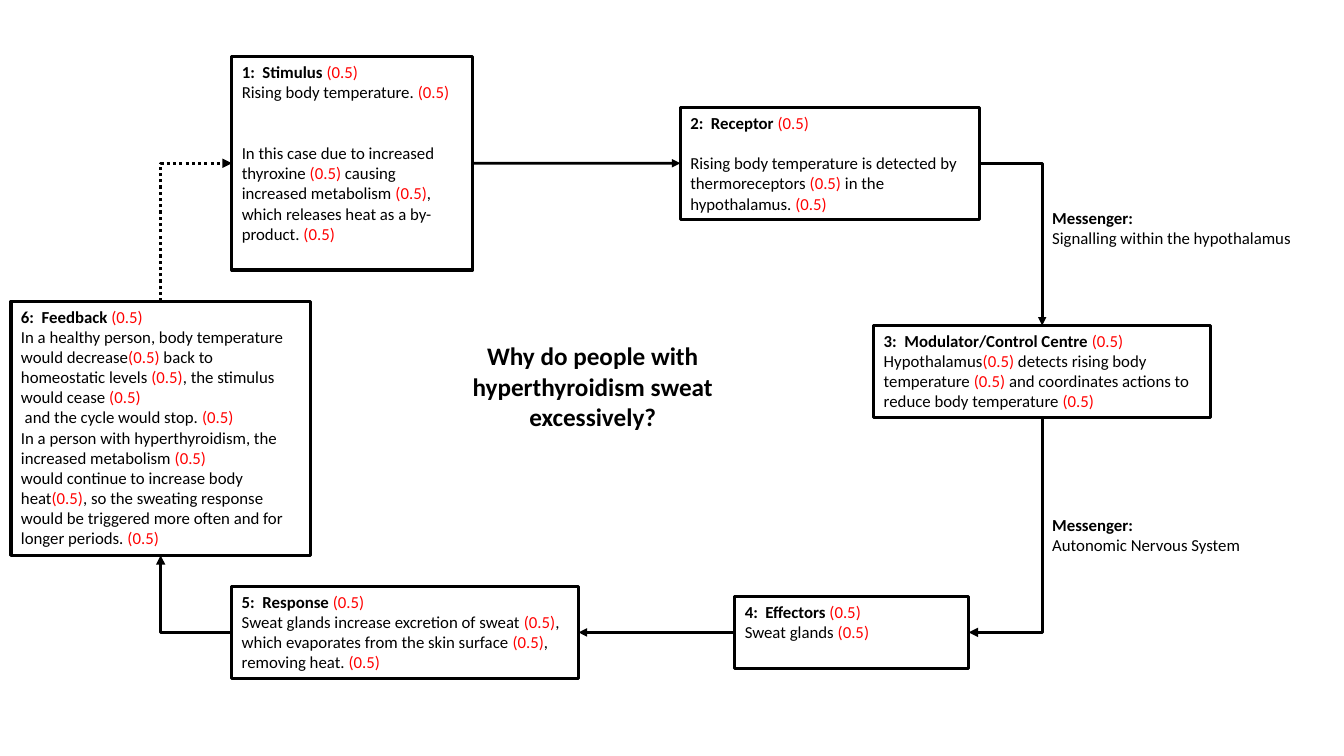
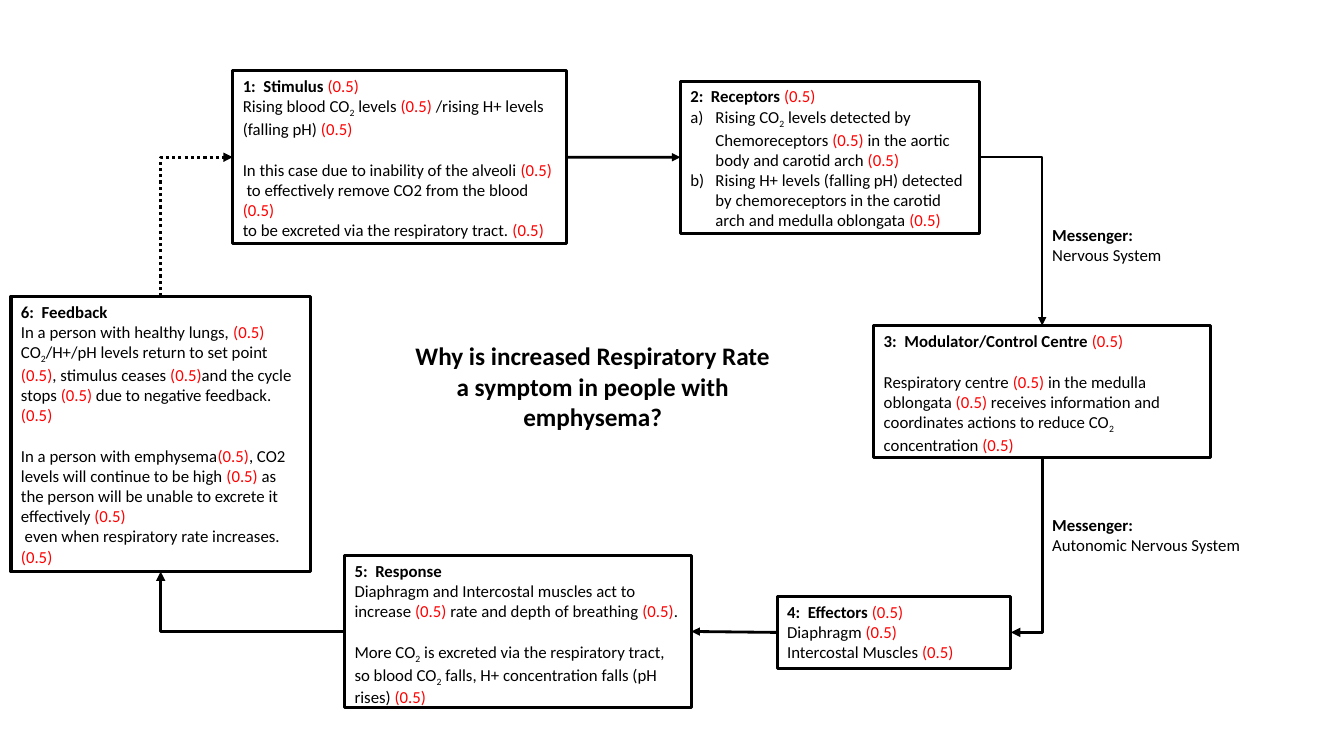
from lxml import etree
from pptx import Presentation
from pptx.dml.color import RGBColor
from pptx.enum import dml, shapes, text
from pptx.oxml import ns
from pptx.util import Pt

COLOURS = {"ink": "000000", "paper": "FFFFFF", "mark": "FF0000"}
FONT = "Calibri"
BODY_SIZE, TITLE_SIZE = 12, 18
LINE_HEIGHT = 14.65
HEADING_TAB = 14.8
LIST_INDENT = 18
MARK = "(0.5)"
SUBSCRIPT = "_2"  # written in the content where a lowered 2 stands
TOP, LEFT, BOTTOM, RIGHT = range(4)

TITLE_AREA = (283.7, 239.8, 279.4, 72.7)
MESSENGER_AREA = {"left": 744.5, "width": 215, "height": 36}

# begin box, begin side, end box, end side, line width, dash
LINKS = [
    ("stimulus", RIGHT, "receptor", LEFT, 2, None),
    ("receptor", RIGHT, "modulator", TOP, None, None),
    ("modulator", BOTTOM, "effectors", RIGHT, 2.25, None),
    ("effectors", LEFT, "response", RIGHT, 2, None),
    ("response", LEFT, "feedback", BOTTOM, 2.25, None),
    ("feedback", TOP, "stimulus", LEFT, 2.25, dml.MSO_LINE.ROUND_DOT),
]

# Each body paragraph is (empty lines above it, text).
SLIDES = [
    {
        "title": "Why do people with hyperthyroidism sweat excessively?",
        "signal_width": 2,
        "messengers": [
            (144.7, "Signalling within the hypothalamus"),
            (364.3, "Autonomic Nervous System"),
        ],
        "boxes": {
            "stimulus": ((165.6, 40.3, 172.1, 152.6), "1:\tStimulus (0.5)", [
                (0, "Rising body temperature. (0.5)"),
                (2, "In this case due to increased thyroxine (0.5) causing increased "
                    "metabolism (0.5), which releases heat as a by-product. (0.5)"),
            ]),
            "receptor": ((486, 76.7, 213.8, 79.9), "2:\tReceptor (0.5)", [
                (1, "Rising body temperature is detected by thermoreceptors (0.5) "
                    "in the hypothalamus. (0.5)"),
            ]),
            "modulator": ((624.2, 232.6, 240.5, 65.5),
                          "3:\tModulator/Control Centre (0.5)", [
                (0, "Hypothalamus(0.5) detects rising body temperature (0.5) and "
                    "coordinates actions to reduce body temperature (0.5)"),
            ]),
            "effectors": ((524.9, 426.2, 167, 51.1), "4:\tEffectors (0.5)", [
                (0, "Sweat glands (0.5)"),
            ]),
            "response": ((165.6, 419, 247.7, 65.5), "5:\tResponse (0.5)", [
                (0, "Sweat glands increase excretion of sweat (0.5), which evaporates "
                    "from the skin surface (0.5), removing heat. (0.5)"),
            ]),
            "feedback": ((7.9, 215.3, 213.8, 181.4), "6:\tFeedback (0.5)", [
                (0, "In a healthy person, body temperature would decrease(0.5) back to "
                    "homeostatic levels (0.5), the stimulus would cease (0.5)"),
                (0, " and the cycle would stop. (0.5)"),
                (0, "In a person with hyperthyroidism, the increased metabolism (0.5)"),
                (0, "would continue to increase body heat(0.5), so the sweating response "
                    "would be triggered more often and for longer periods. (0.5)"),
            ]),
        },
    },
    {
        "title": "Why is increased Respiratory Rate a symptom in people with emphysema?",
        "signal_width": 1.5,
        "lettered": "receptor",
        "messengers": [
            (157, "Nervous System"),
            (364.3, "Autonomic Nervous System"),
        ],
        "boxes": {
            "stimulus": ((166.3, 50.4, 238.3, 123.8), "1:\tStimulus (0.5)", [
                (0, "Rising blood CO_2 levels (0.5) /rising H+ levels (falling pH) (0.5)"),
                (1, "In this case due to inability of the alveoli (0.5)"),
                (0, " to effectively remove CO2 from the blood (0.5)"),
                (0, "to be excreted via the respiratory tract. (0.5)"),
            ]),
            "receptor": ((486, 58, 213.8, 108.7), "2:\tReceptors (0.5)", [
                (0, "Rising CO_2 levels detected by Chemoreceptors (0.5) in the aortic "
                    "body and carotid arch (0.5)"),
                (0, "Rising H+ levels (falling pH) detected by chemoreceptors in the "
                    "carotid arch and medulla oblongata (0.5)"),
            ]),
            "modulator": ((624.2, 232.6, 240.5, 94.3),
                          "3:\tModulator/Control Centre (0.5)", [
                (1, "Respiratory centre (0.5) in the medulla oblongata (0.5) receives "
                    "information and coordinates actions to reduce CO_2 "
                    "concentration (0.5)"),
            ]),
            "effectors": ((555.1, 426.2, 167, 51.1), "4:\tEffectors (0.5)", [
                (0, "Diaphragm (0.5)"),
                (0, "Intercostal Muscles (0.5)"),
            ]),
            "response": ((246.2, 396.7, 247.7, 108.7), "5:\tResponse", [
                (0, "Diaphragm and Intercostal muscles act to increase (0.5) rate and "
                    "depth of breathing (0.5)."),
                (1, "More CO_2 is excreted via the respiratory tract, so blood CO_2 "
                    "falls, H+ concentration falls (pH rises) (0.5)"),
            ]),
            "feedback": ((7.9, 211.7, 213.8, 196.6), "6:\tFeedback", [
                (0, "In a person with healthy lungs, (0.5)"),
                (0, "CO_2/H+/pH levels return to set point (0.5), stimulus ceases "
                    "(0.5)and the cycle stops (0.5) due to negative feedback. (0.5)"),
                (1, "In a person with emphysema(0.5), CO2 levels will continue to be "
                    "high (0.5) as the person will be unable to excrete it "
                    "effectively (0.5)"),
                (0, " even when respiratory rate increases. (0.5)"),
            ]),
        },
    },
]


def colour(name):
    return RGBColor.from_string(COLOURS[name])


def add_run(paragraph, words, colour_name="ink", lowered=False, **format_values):
    if not words:
        return
    run = paragraph.add_run()
    run.text = words
    values = {"name": FONT, "size": Pt(BODY_SIZE), "bold": False, **format_values}
    for name, value in values.items():
        setattr(run.font, name, value)
    run.font.color.rgb = colour(colour_name)
    if lowered:
        run._r.get_or_add_rPr().set("baseline", "-25000")


def write_marked(paragraph, words, bold=False):
    """Write words with red marks and lowered digits."""
    for index, plain in enumerate(words.split(MARK)):
        if index:
            add_run(paragraph, MARK, "mark")
        for position, piece in enumerate(plain.split(SUBSCRIPT)):
            if position:
                add_run(paragraph, "2", lowered=True)
            add_run(paragraph, piece, bold=bold)


def add_heading_tab(paragraph):
    stops = etree.SubElement(paragraph._p.get_or_add_pPr(), ns.qn("a:tabLst"))
    etree.SubElement(stops, ns.qn("a:tab"), pos=str(Pt(HEADING_TAB)), algn="l")


def add_letter(paragraph):
    properties = paragraph._p.get_or_add_pPr()
    properties.set("marL", str(Pt(LIST_INDENT)))
    properties.set("indent", str(-Pt(LIST_INDENT)))
    etree.SubElement(properties, ns.qn("a:buFont"), typeface="+mj-lt")
    etree.SubElement(properties, ns.qn("a:buAutoNum"), type="alphaLcParenR")


def prepare_frame(shape):
    frame = shape.text_frame
    values = {
        "word_wrap": True,
        "auto_size": text.MSO_AUTO_SIZE.SHAPE_TO_FIT_TEXT,
        "vertical_anchor": text.MSO_ANCHOR.TOP,
    }
    for name, value in values.items():
        setattr(frame, name, value)
    return frame


def add_box(slide, area, heading, body, lettered):
    box = slide.shapes.add_shape(shapes.MSO_SHAPE.RECTANGLE, *map(Pt, area))
    box.shadow.inherit = False
    box.fill.solid()
    box.fill.fore_color.rgb = colour("paper")
    box.line.color.rgb = colour("ink")
    box.line.width = Pt(2.25)
    frame = prepare_frame(box)
    paragraph = frame.paragraphs[0]
    paragraph.alignment = text.PP_ALIGN.LEFT
    add_heading_tab(paragraph)
    write_marked(paragraph, heading, bold=True)
    for gap, words in body:
        paragraph = frame.add_paragraph()
        paragraph.alignment = text.PP_ALIGN.LEFT
        if gap:
            paragraph.space_before = Pt(gap * LINE_HEIGHT)
        if lettered:
            add_letter(paragraph)
        write_marked(paragraph, words)
    return box


def add_messenger(slide, top, words):
    area = MESSENGER_AREA
    label = slide.shapes.add_textbox(
        Pt(area["left"]), Pt(top), Pt(area["width"]), Pt(area["height"]))
    frame = prepare_frame(label)
    add_run(frame.paragraphs[0], "Messenger:", bold=True)
    add_run(frame.add_paragraph(), words)


def add_title(slide, words):
    frame = prepare_frame(slide.shapes.add_textbox(*map(Pt, TITLE_AREA)))
    paragraph = frame.paragraphs[0]
    paragraph.alignment = text.PP_ALIGN.CENTER
    add_run(paragraph, words, size=Pt(TITLE_SIZE), bold=True)


def bend(connector, vertical_first):
    """Give the connector a single corner, turning it when it starts vertically."""
    properties = connector._element.spPr
    properties.find(ns.qn("a:prstGeom")).set("prst", "bentConnector2")
    if not vertical_first:
        return
    run_x = connector.end_x - connector.begin_x
    run_y = connector.end_y - connector.begin_y
    middle_x = connector.begin_x + run_x // 2
    middle_y = connector.begin_y + run_y // 2
    frame = properties.find(ns.qn("a:xfrm"))
    for flip in ("flipH", "flipV"):
        frame.attrib.pop(flip, None)
    frame.set("rot", str((90 if run_y > 0 else 270) * 60000))
    width, height = abs(run_y), abs(run_x)
    connector.left, connector.top = middle_x - width // 2, middle_y - height // 2
    connector.width, connector.height = width, height


def add_link(slide, begin, begin_side, end, end_side, width, dash):
    straight = {begin_side, end_side} == {LEFT, RIGHT}
    kind = shapes.MSO_CONNECTOR.STRAIGHT if straight else shapes.MSO_CONNECTOR.ELBOW
    connector = slide.shapes.add_connector(kind, 0, 0, 0, 0)
    connector.begin_connect(begin, begin_side)
    connector.end_connect(end, end_side)
    if not straight:
        bend(connector, begin_side in (TOP, BOTTOM))
    connector.line.color.rgb = colour("ink")
    connector.line.width = Pt(width)
    if dash:
        connector.line.dash_style = dash
    properties = connector._element.spPr
    etree.SubElement(properties.find(ns.qn("a:ln")), ns.qn("a:tailEnd"), type="triangle")
    etree.SubElement(properties, ns.qn("a:effectLst"))


def main():
    presentation = Presentation()
    presentation.slide_width, presentation.slide_height = Pt(960), Pt(540)
    for content in SLIDES:
        slide = presentation.slides.add_slide(presentation.slide_layouts[6])
        boxes = {
            name: add_box(slide, *parts, lettered=name == content.get("lettered"))
            for name, parts in content["boxes"].items()
        }
        for top, words in content["messengers"]:
            add_messenger(slide, top, words)
        for begin, begin_side, end, end_side, width, dash in LINKS:
            add_link(slide, boxes[begin], begin_side, boxes[end], end_side,
                     width or content["signal_width"], dash)
        add_title(slide, content["title"])
    presentation.save("out.pptx")


if __name__ == "__main__":
    main()
